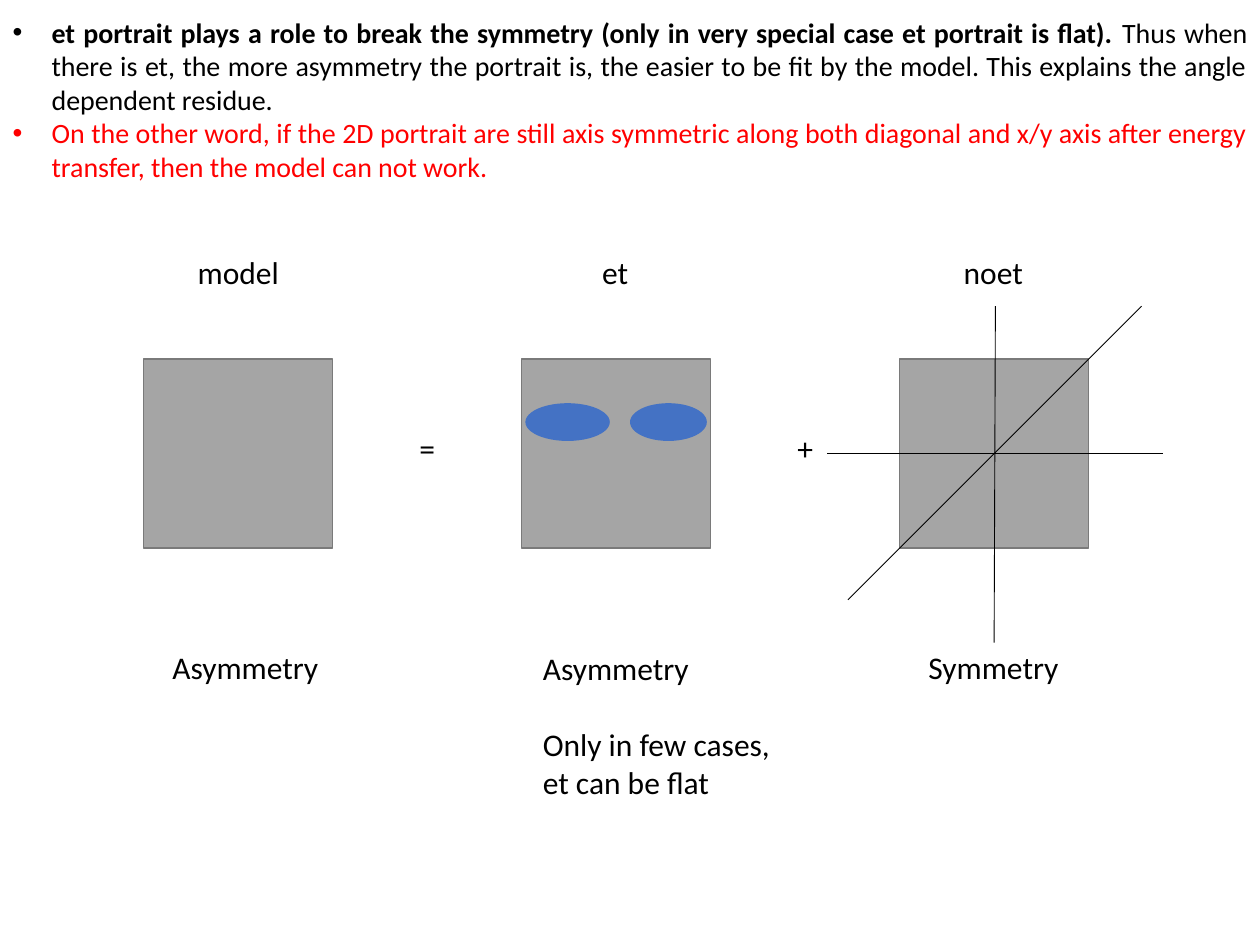
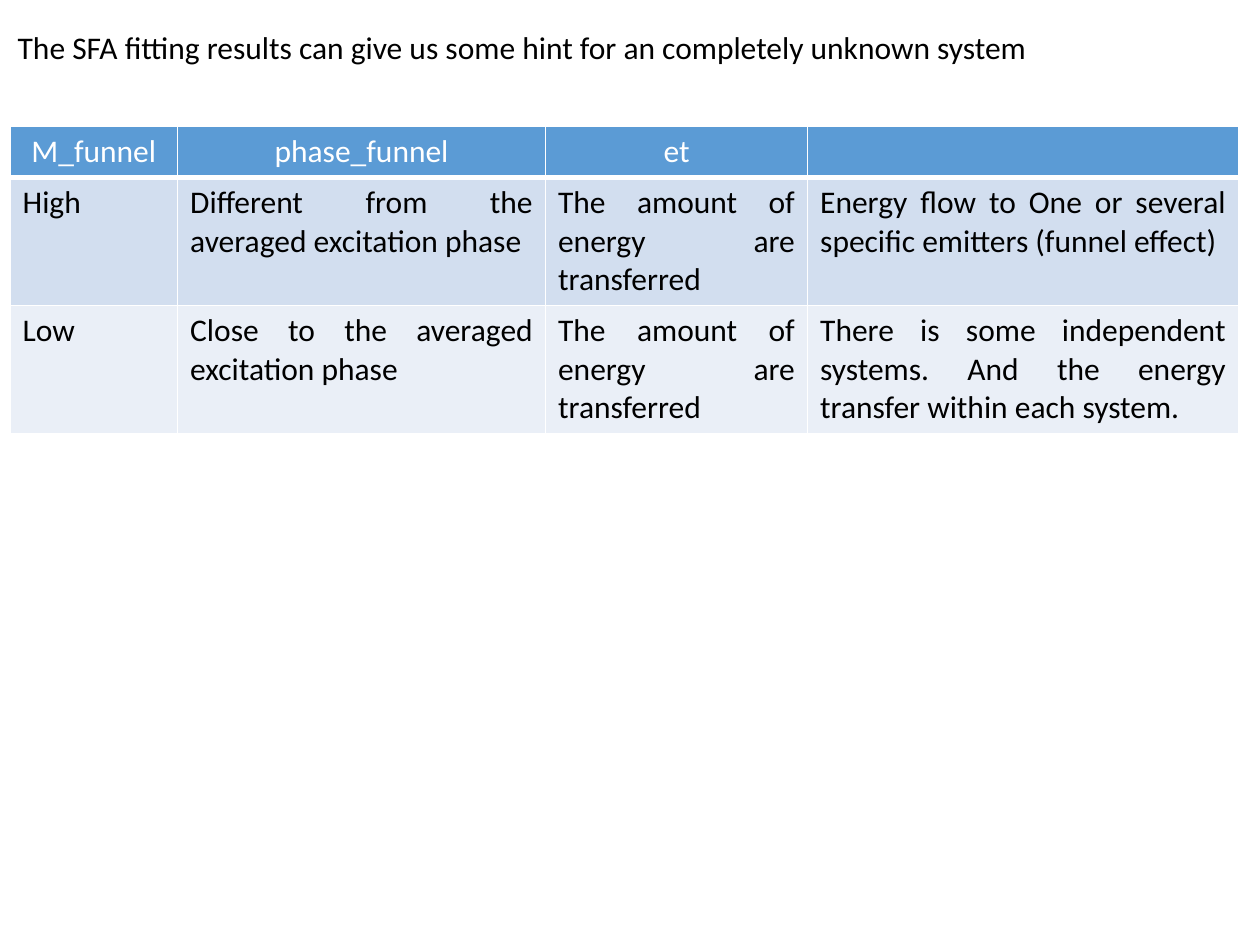
from lxml.etree import SubElement
from pptx import Presentation
from pptx.dml.color import RGBColor
from pptx.enum.shapes import MSO_CONNECTOR, MSO_SHAPE
from pptx.enum.text import MSO_ANCHOR, MSO_AUTO_SIZE, PP_ALIGN
from pptx.oxml import parse_xml
from pptx.oxml.ns import nsdecls, qn
from pptx.util import Pt

SCALE = 9144
FONT = "Calibri"
BLACK = RGBColor(0x00, 0x00, 0x00)
WHITE = RGBColor(0xFF, 0xFF, 0xFF)
RED = RGBColor(0xFF, 0x00, 0x00)
PANEL_GRAY = RGBColor(0xA5, 0xA5, 0xA5)
PANEL_EDGE = RGBColor(0x7A, 0x7A, 0x7A)
SPOT_BLUE = RGBColor(0x44, 0x72, 0xC4)
HEADER_BLUE = RGBColor(0x5B, 0x9B, 0xD5)
BAND_COLORS = [RGBColor(0xD2, 0xDE, 0xEF), RGBColor(0xEA, 0xEF, 0xF7)]


def px(*lengths):
    return [length * SCALE for length in lengths]


class PageBuilder:
    def __init__(self, deck):
        self.deck = deck
        self.page = None

    def new_page(self, layout_index):
        self.page = self.deck.slides.add_slide(self.deck.slide_layouts[layout_index])

    def span(self, para, text, size=18, color=BLACK, bold=False):
        run = para.add_run()
        run.text = text
        run.font.name = FONT
        run.font.size = Pt(size)
        run.font.color.rgb = color
        run.font.bold = bold

    def place(self, box, area):
        box.left, box.top, box.width, box.height = px(*area)
        frame = box.text_frame
        frame.word_wrap = True
        frame.auto_size = MSO_AUTO_SIZE.NONE
        frame.vertical_anchor = MSO_ANCHOR.TOP
        return frame

    def title(self, text, area):
        para = self.place(self.page.shapes.title, area).paragraphs[0]
        para.alignment = PP_ALIGN.LEFT
        self.span(para, text)

    def bullets(self, items, area, indent):
        frame = self.place(self.page.placeholders[1], area)
        for index, spans in enumerate(items):
            para = frame.add_paragraph() if index else frame.paragraphs[0]
            properties = para._p.get_or_add_pPr()
            properties.set("marL", str(indent * SCALE))
            properties.set("indent", str(-indent * SCALE))
            SubElement(properties, qn("a:buFont"), typeface="Arial")
            SubElement(properties, qn("a:buChar"), char="•")
            para.alignment = PP_ALIGN.JUSTIFY
            para.space_before = Pt(0)
            for text, color, bold in spans:
                self.span(para, text, 16, color, bold)

    def label(self, lines, area, gap=0):
        frame = self.page.shapes.add_textbox(*px(*area)).text_frame
        frame.word_wrap = False
        frame.auto_size = MSO_AUTO_SIZE.SHAPE_TO_FIT_TEXT
        for index, line in enumerate(lines):
            para = frame.add_paragraph() if index else frame.paragraphs[0]
            if index == 1:
                para.space_before = Pt(gap)
            self.span(para, line)

    def shape(self, kind, area, fill, edge=None):
        shape = self.page.shapes.add_shape(kind, *px(*area))
        shape.shadow.inherit = False
        shape.fill.solid()
        shape.fill.fore_color.rgb = fill
        if edge is None:
            shape.line.fill.background()
        else:
            shape.line.color.rgb = edge
            shape.line.width = Pt(1)

    def line(self, ends):
        line = self.page.shapes.add_connector(MSO_CONNECTOR.STRAIGHT, *px(*ends))
        line.line.color.rgb = BLACK
        line.line.width = Pt(0.5)
        SubElement(line._element.spPr, qn("a:effectLst"))

    def border(self, cell, bottom):
        properties = cell._tc.get_or_add_tcPr()
        widths = {"lnL": 1, "lnR": 1, "lnT": 1, "lnB": bottom}
        for index, (side, width) in enumerate(widths.items()):
            properties.insert(index, parse_xml(
                f'<a:{side} {nsdecls("a")} w="{Pt(width)}"><a:solidFill>'
                f'<a:srgbClr val="{WHITE}"/></a:solidFill></a:{side}>'))

    def table(self, rows, corner, column_widths, row_heights):
        area = (*corner, sum(column_widths), sum(row_heights))
        table = self.page.shapes.add_table(len(rows), len(column_widths), *px(*area)).table
        for column, width in zip(table.columns, px(*column_widths)):
            column.width = width
        for row, height in zip(table.rows, px(*row_heights)):
            row.height = height
        for row_index, texts in enumerate(rows):
            header = row_index == 0
            for column_index, text in enumerate(texts):
                cell = table.cell(row_index, column_index)
                cell.fill.solid()
                cell.fill.fore_color.rgb = HEADER_BLUE if header else BAND_COLORS[row_index - 1]
                self.border(cell, 3 if header else 1)
                para = cell.text_frame.paragraphs[0]
                para.alignment = PP_ALIGN.CENTER if header else PP_ALIGN.JUSTIFY
                if text:
                    self.span(para, text, color=WHITE if header else BLACK)


def symmetry_page(builder):
    builder.new_page(1)
    title = builder.page.shapes.title._element
    title.getparent().remove(title)
    builder.bullets([
        [("et portrait plays a role to break the symmetry (only in very special case "
          "et portrait is flat). ", BLACK, True),
         ("Thus when there is et, the more asymmetry the portrait is, the easier to be fit "
          "by the model. This explains the angle dependent residue.", BLACK, False)],
        [("On the other word, if the 2D portrait are still axis symmetric along both diagonal "
          "and x/y axis after energy transfer, then the model can not work. ", RED, False)],
    ], (0, 7, 1000, 145), 31)

    for column in range(3):
        builder.shape(MSO_SHAPE.RECTANGLE, (114 + 300 * column, 285, 150, 150),
                      PANEL_GRAY, PANEL_EDGE)
    for left, width in [(417, 67), (500, 61)]:
        builder.shape(MSO_SHAPE.OVAL, (left, 320, width, 30), SPOT_BLUE)
    for axis in [(906, 243, 673, 476), (923, 360, 656, 360), (789, 510, 790, 243)]:
        builder.line(axis)

    for name, left, width in [("model", 147, 85), ("et", 468, 41), ("noet", 755, 68)]:
        builder.label([name], (left, 196, width, 40))
    for index, sign in enumerate("=+"):
        builder.label([sign], (323 + 300 * index, 336, 33, 40))
    builder.label(["Asymmetry"], (127, 509, 137, 40))
    builder.label(["Asymmetry", "Only in few cases,", "et can be flat"],
                  (421, 510, 208, 131), gap=22)
    builder.label(["Symmetry"], (727, 509, 124, 40))


def funnel_page(builder):
    builder.new_page(5)
    builder.title("The SFA fitting results can give us some hint for an completely unknown system",
                  (4, 17, 849, 40))
    transferred = "The amount of energy are transferred"
    builder.table([
        ["M_funnel", "phase_funnel", "et", ""],
        ["High", "Different from the averaged excitation phase ", transferred,
         "Energy flow to One or several specific emitters (funnel effect)"],
        ["Low", "Close to the averaged excitation phase", transferred,
         "There is some independent systems. And the energy transfer within each system."],
    ], (8, 100), [133, 292, 208, 342], [41, 100, 100])


def main():
    deck = Presentation()
    deck.slide_width, deck.slide_height = px(1000, 750)
    builder = PageBuilder(deck)
    symmetry_page(builder)
    funnel_page(builder)
    deck.save("out.pptx")


if __name__ == "__main__":
    main()
